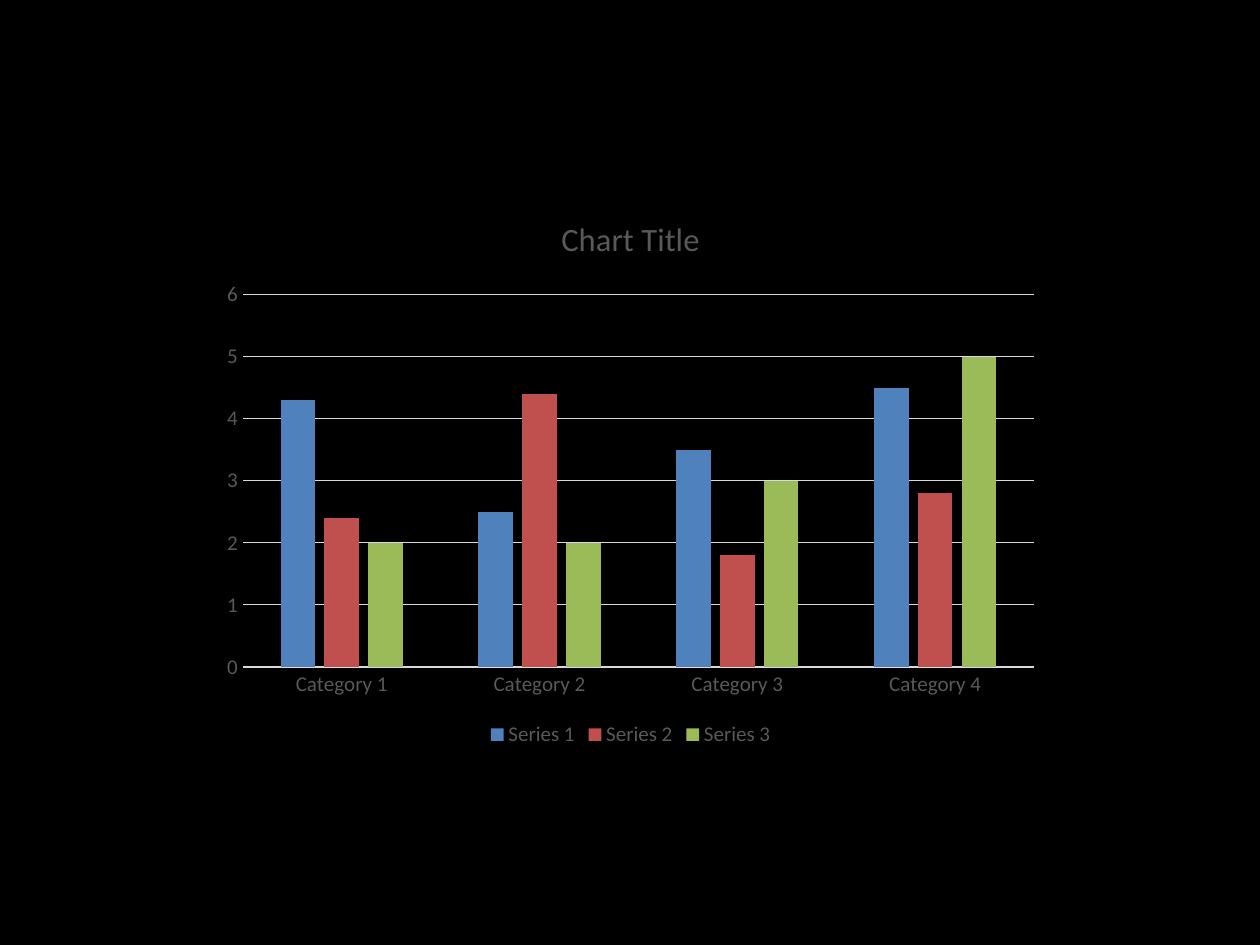
from dataclasses import dataclass

from pptx import Presentation
from pptx.chart.data import CategoryChartData
from pptx.dml.color import RGBColor
from pptx.enum.chart import XL_CHART_TYPE, XL_LEGEND_POSITION, XL_TICK_MARK
from pptx.util import Inches, Pt

BLACK = RGBColor(0x00, 0x00, 0x00)
TEXT_GREY = RGBColor(0x59, 0x59, 0x59)
LINE_GREY = RGBColor(0xD9, 0xD9, 0xD9)
BLUE = RGBColor(0x4F, 0x81, 0xBD)
RED = RGBColor(0xC0, 0x50, 0x4D)
GREEN = RGBColor(0x9B, 0xBB, 0x59)


@dataclass(frozen=True)
class Series:
    name: str
    values: tuple[float, ...]
    color: RGBColor


CATEGORIES = [f"Category {number}" for number in range(1, 5)]
SERIES = (
    Series("Series 1", (4.3, 2.5, 3.5, 4.5), BLUE),
    Series("Series 2", (2.4, 4.4, 1.8, 2.8), RED),
    Series("Series 3", (2, 2, 3, 5), GREEN),
)


def style_font(font, size: float) -> None:
    font.name = "Calibri"
    font.size = Pt(size)
    font.bold = False
    font.color.rgb = TEXT_GREY


def style_line(line) -> None:
    line.color.rgb = LINE_GREY
    line.width = Pt(0.75)


def add_columns(slide):
    chart_data = CategoryChartData()
    chart_data.categories = CATEGORIES
    for series in SERIES:
        chart_data.add_series(series.name, series.values)
    chart = slide.shapes.add_chart(
        XL_CHART_TYPE.COLUMN_CLUSTERED,
        Inches(1.67), Inches(1.53), Inches(6.67), Inches(4.44), chart_data,
    ).chart
    style_font(chart.font, 12)

    # Columns
    plot = chart.plots[0]
    plot.vary_by_categories = False
    plot.gap_width = 219
    plot.overlap = -27
    for columns, series in zip(plot.series, SERIES):
        columns.format.fill.solid()
        columns.format.fill.fore_color.rgb = series.color
        columns.invert_if_negative = False
    return chart


def style_axes(chart) -> None:
    for axis in (chart.category_axis, chart.value_axis):
        axis.major_tick_mark = XL_TICK_MARK.NONE
        axis.minor_tick_mark = XL_TICK_MARK.NONE
        style_font(axis.tick_labels.font, 12)
    style_line(chart.category_axis.format.line)
    chart.value_axis.format.line.fill.background()
    chart.value_axis.has_major_gridlines = True
    style_line(chart.value_axis.major_gridlines.format.line)


def add_title_and_legend(chart) -> None:
    chart.has_title = True
    title_run = chart.chart_title.text_frame.paragraphs[0].add_run()
    title_run.text = "Chart Title"
    style_font(title_run.font, 18.6)
    chart.chart_title.include_in_layout = False

    chart.has_legend = True
    chart.legend.position = XL_LEGEND_POSITION.BOTTOM
    chart.legend.include_in_layout = False
    style_font(chart.legend.font, 12)


def main() -> None:
    presentation = Presentation()
    presentation.slide_width = Inches(10)
    presentation.slide_height = Inches(7.5)
    slide = presentation.slides.add_slide(presentation.slide_layouts[6])
    slide.background.fill.solid()
    slide.background.fill.fore_color.rgb = BLACK

    chart = add_columns(slide)
    style_axes(chart)
    add_title_and_legend(chart)
    presentation.save("out.pptx")


if __name__ == "__main__":
    main()
